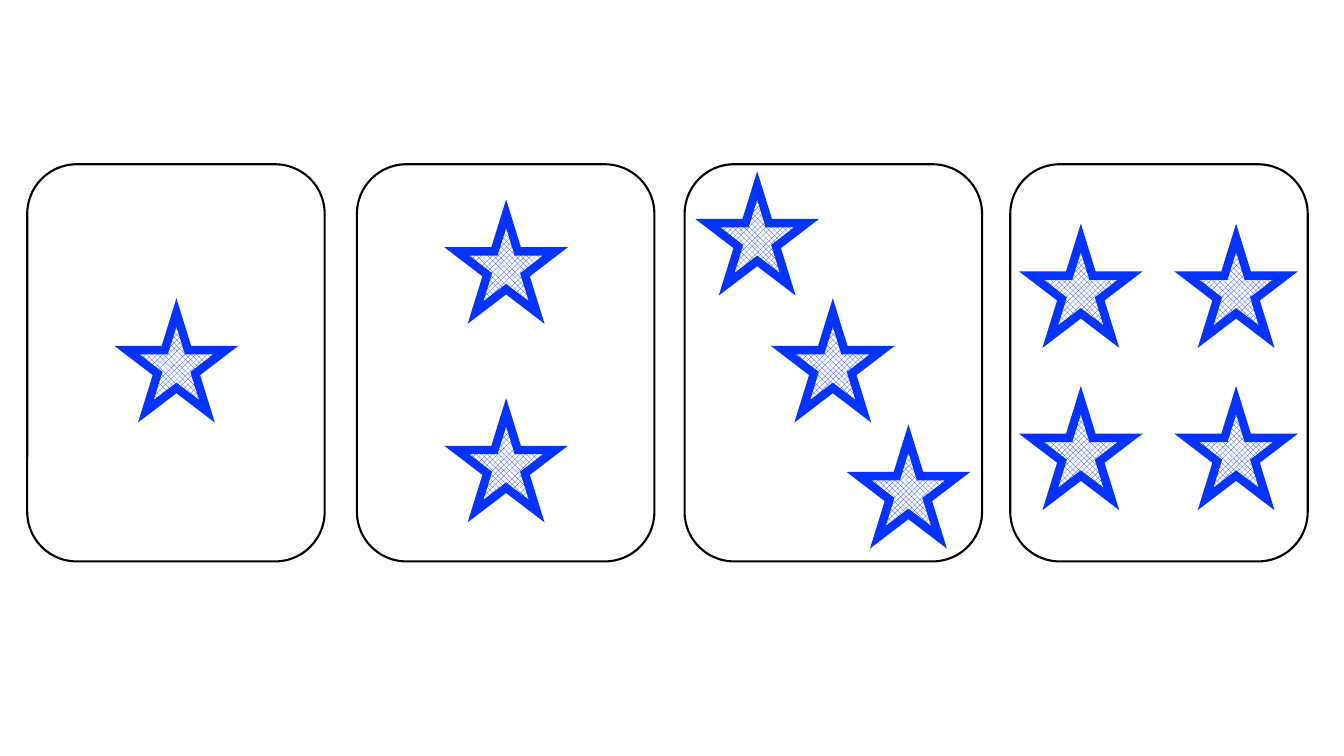
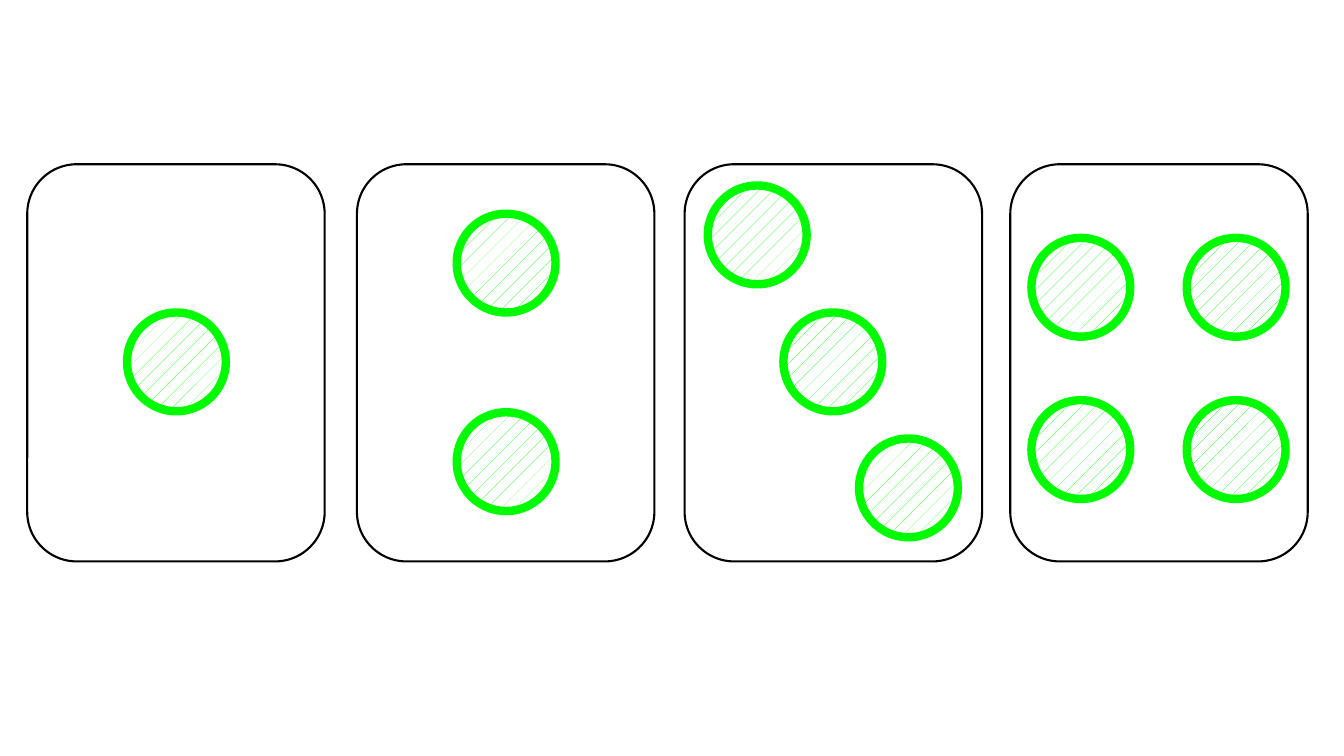
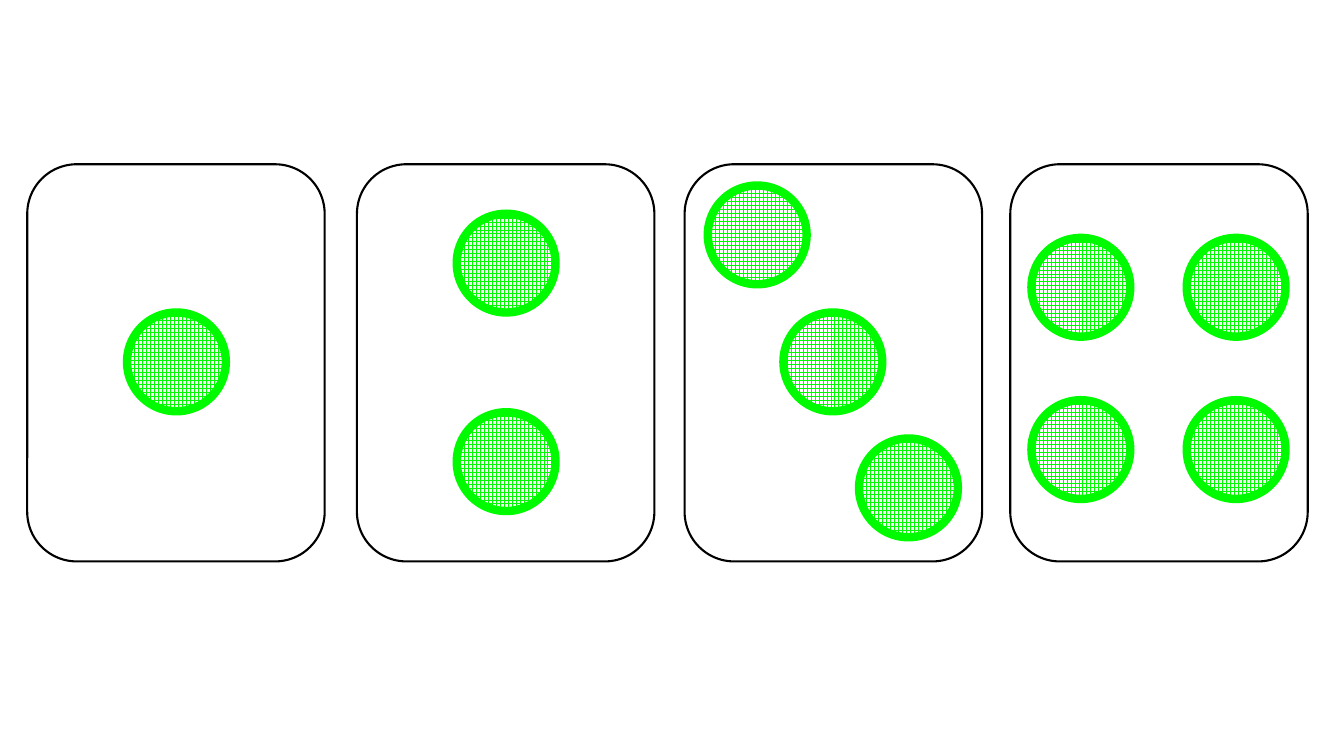
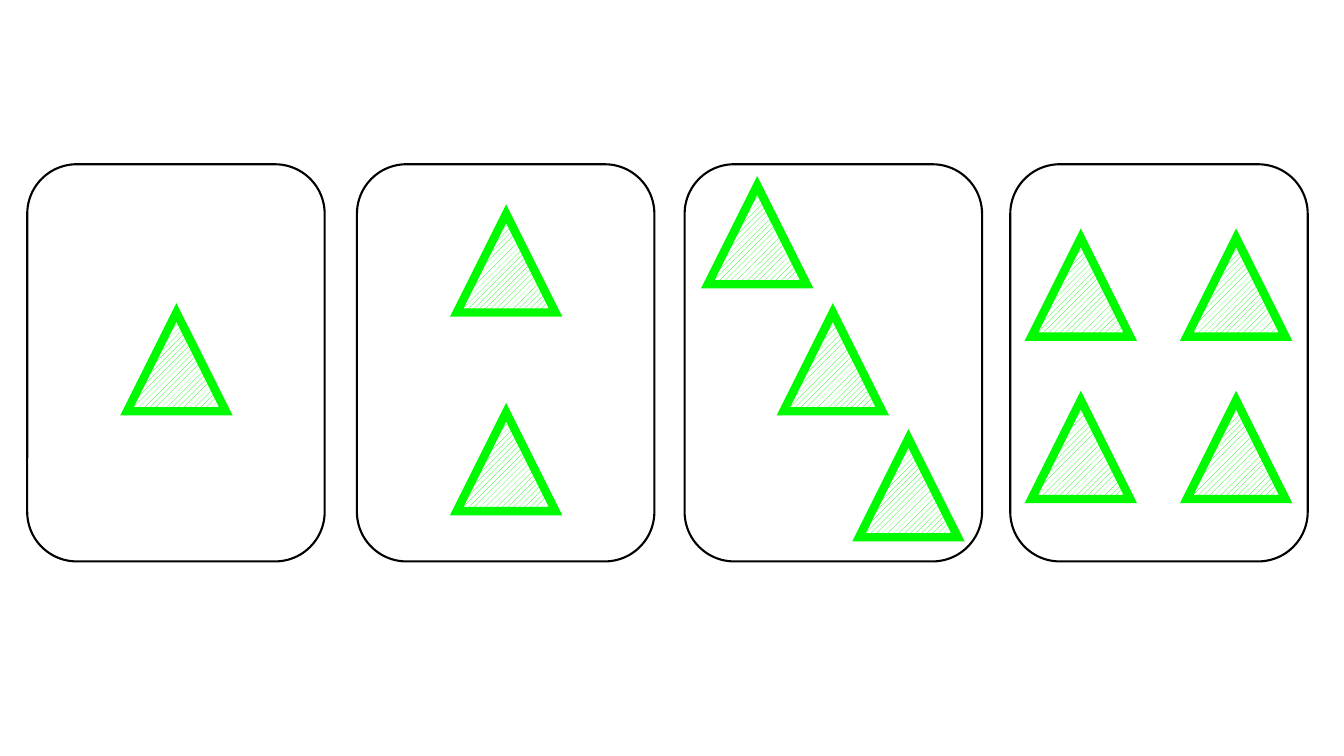
from dataclasses import dataclass

from lxml.etree import SubElement
from pptx import Presentation
from pptx.dml.color import RGBColor
from pptx.enum.dml import MSO_PATTERN_TYPE as Pattern
from pptx.enum.shapes import MSO_SHAPE as Shape
from pptx.oxml.ns import qn
from pptx.util import Inches, Pt


@dataclass(frozen=True)
class Theme:
    white: RGBColor = RGBColor.from_string("FFFFFF")
    black: RGBColor = RGBColor.from_string("000000")
    blue: RGBColor = RGBColor.from_string("0432FF")
    green: RGBColor = RGBColor.from_string("00FA00")
    card_line: float = 1.5
    symbol_line: float = 6


THEME = Theme()
BLANK_LAYOUT = 6
CARD_TOP, CARD_WIDTH, CARD_HEIGHT = 1.63, 2.95, 3.94
CARD_LEFTS = (0.27, 3.54, 6.79, 10.02)
SYMBOL_SIZE = 0.98
MIDDLE = (0.99, 1.47)
SYMBOL_OFFSETS = (
    (MIDDLE,),
    ((0.99, 0.49), (0.99, 2.46)),
    ((0.23, 0.21), (0.98, 1.47), (1.73, 2.72)),
    tuple((x, y) for y in (0.73, 2.34) for x in (0.21, 1.75)),
)
CARD_SETS = (
    (Shape.STAR_5_POINT, Pattern.SOLID_DIAMOND, THEME.blue),
    (Shape.OVAL, Pattern.PERCENT_5, THEME.green),
    (Shape.OVAL, Pattern.LARGE_GRID, THEME.green),
    (Shape.ISOSCELES_TRIANGLE, Pattern.WIDE_UPWARD_DIAGONAL, THEME.green),
)


def add_outlined_shape(slide, kind, box, color, width):
    shape = slide.shapes.add_shape(kind, *(Inches(length) for length in box))
    shape.shadow.inherit = False
    shape.line.color.rgb = color
    shape.line.width = Pt(width)
    outline = shape.element.spPr.find(qn("a:ln"))
    SubElement(outline, qn("a:miter"), lim="800000")
    return shape


def add_card(slide, left):
    box = (left, CARD_TOP, CARD_WIDTH, CARD_HEIGHT)
    card = add_outlined_shape(
        slide, Shape.ROUNDED_RECTANGLE, box, THEME.black, THEME.card_line
    )
    card.fill.solid()
    card.fill.fore_color.rgb = THEME.white


def add_symbol(slide, left, top, kind, pattern, color):
    box = (left, top, SYMBOL_SIZE, SYMBOL_SIZE)
    symbol = add_outlined_shape(slide, kind, box, color, THEME.symbol_line)
    fill = symbol.fill
    fill.patterned()
    fill.pattern = pattern
    colors = {"fore_color": color, "back_color": THEME.white}
    for name, value in colors.items():
        getattr(fill, name).rgb = value


def add_card_slide(presentation, kind, pattern, color):
    slide = presentation.slides.add_slide(presentation.slide_layouts[BLANK_LAYOUT])
    for left, offsets in zip(CARD_LEFTS, SYMBOL_OFFSETS):
        add_card(slide, left)
        for x, y in offsets:
            add_symbol(slide, left + x, CARD_TOP + y, kind, pattern, color)


def main():
    presentation = Presentation()
    size = {"slide_width": Inches(13.33), "slide_height": Inches(7.5)}
    for name, value in size.items():
        setattr(presentation, name, value)
    for card_set in CARD_SETS:
        add_card_slide(presentation, *card_set)
    presentation.save("out.pptx")


if __name__ == "__main__":
    main()
